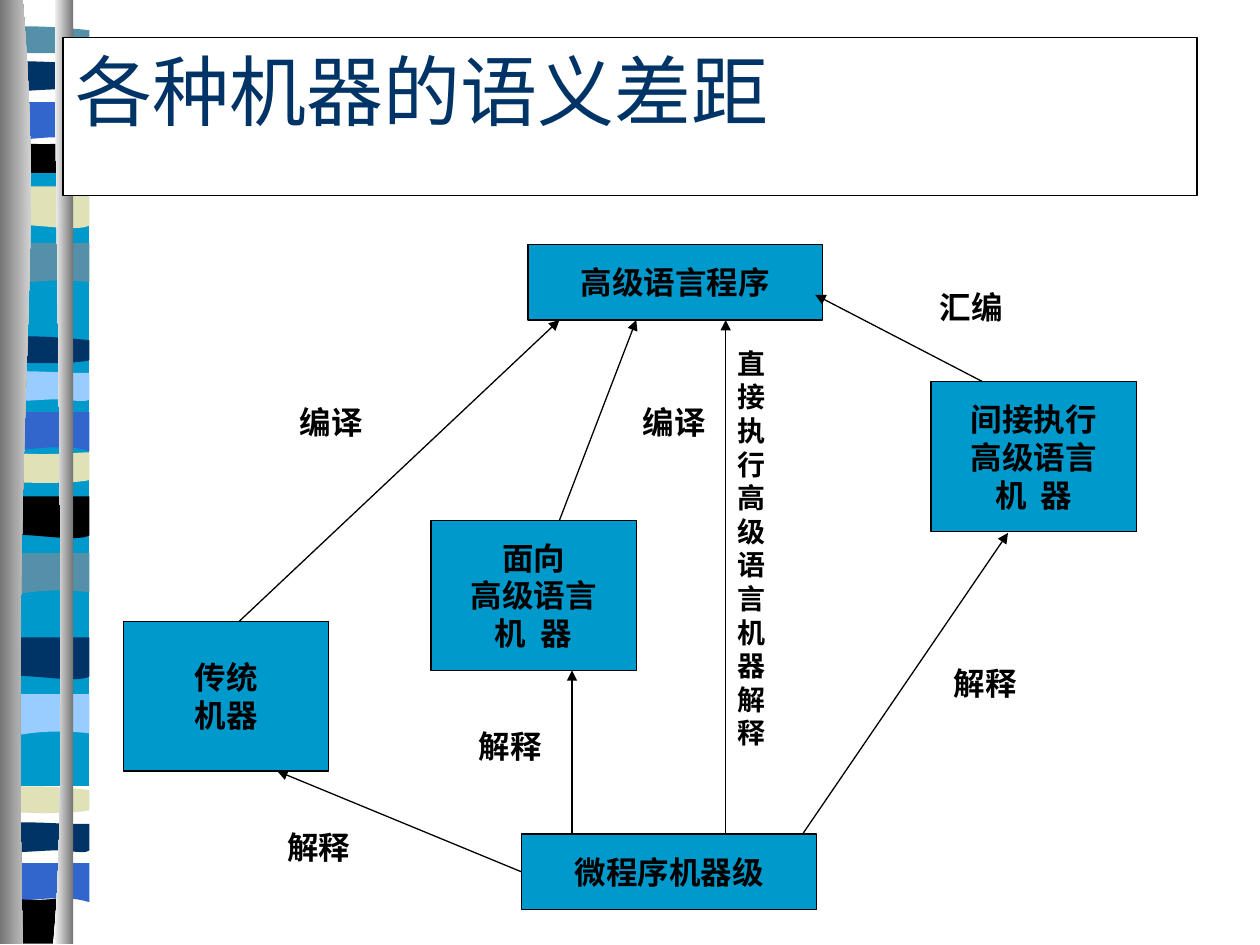
from lxml import etree
from pptx import Presentation
from pptx.dml.color import RGBColor
from pptx.enum.shapes import MSO_CONNECTOR, MSO_SHAPE
from pptx.enum.text import MSO_ANCHOR, PP_ALIGN
from pptx.oxml.ns import qn
from pptx.util import Inches, Pt

COLORS = {
    "cyan": "0099CC", "teal": "5490A8", "sand": "E1E1B7", "blue": "3366CC",
    "navy": "003366", "sky": "99CCFF", "black": "000000", "white": "FFFFFF",
    "gray": "767676",
}
BAND_WIDTH = 0.71

# Outlines: x as a share of the band width, y in inches from the band top.
# Two numbers are a corner, six are a Bezier curve.
BANDS = {
    "wave": [(1, 0), (1, 0.31), (0.31, 0.26, 0.16, 0.37, 0, 0.31), (0, 0)],
    "ripple": [(1, 0), (1, 0.31), (0.84, 0.37, 0.31, 0.28, 0, 0.31), (0, 0)],
    "lens": [(1, 0.03), (1, 0.19), (0.84, 0.22, 0.16, 0.22, 0, 0.19), (0, 0.03),
             (0.07, 0, 0.22, 0, 0.38, 0), (0.56, 0, 0.87, 0.02, 1, 0.03)],
    "bowl": [(1, 0), (1, 0.22), (0.84, 0.25, 0.16, 0.25, 0, 0.22), (0, 0),
             (0.62, 0.03, 0.8, 0, 1, 0)],
    "arch": [(1, 0), (1, 0.31), (0.85, 0.28, 0.78, 0.28, 0.62, 0.28),
             (0.45, 0.28, 0.16, 0.31, 0, 0.31), (0, 0)],
    "flag": [(1, 0.03), (1, 0.24), (0.95, 0.27, 0.78, 0.24, 0.62, 0.24),
             (0.45, 0.24, 0.11, 0.27, 0, 0.24), (0, 0.03),
             (0.15, 0, 0.69, 0.03, 0.85, 0.03)],
}
RIBBON = [
    ("wave", 1.93, "teal"), ("ripple", 1.48, "sand"), ("lens", 0.21, "teal"),
    ("bowl", 1.13, "black"), ("arch", 0.81, "blue"), ("flag", 0.47, "navy"),
    ("wave", 4.39, "teal"), ("ripple", 3.94, "black"), ("lens", 2.67, "navy"),
    ("bowl", 3.59, "sand"), ("arch", 3.27, "blue"), ("flag", 2.93, "sky"),
    ("wave", 5.51, "sky"), ("ripple", 5.06, "navy"), ("lens", 6.24, "sand"),
    ("arch", 6.85, "blue"), ("flag", 6.51, "navy"),
]
BACKDROP = [(1, 0), (1, 5), (0, 5), (0, 0)]
FOOT = [(0.57, 7.12), (0.57, 7.49), (0.02, 7.49), (0.02, 7.12),
        (0.35, 7.17, 0.45, 7.12, 0.57, 7.12)]
WIDE_PILLAR = [(0.18, 0), (0.36, 2.16, 0.09, 2.96, 0.18, 7.49), (0, 7.49), (0, 0)]
THIN_PILLAR = [(0.44, 0), (0.42, 1.25, 0.56, 6.46, 0.42, 7.49), (0.58, 7.49), (0.58, 0)]

WIDE, TALL = (2.34, 0.6), (1.63, 1.19)
MACHINES = [
    (4.14, 6.62, WIDE, ["微程序机器级"]),
    (4.19, 1.94, WIDE, ["高级语言程序"]),
    (3.42, 4.13, TALL, ["面向", "高级语言", "机  器"]),
    (0.98, 4.93, TALL, ["传统", "机器"]),
    (7.39, 3.03, TALL, ["间接执行", "高级语言", "机  器"]),
]
ARROWS = [
    (1.9, 4.93, 4.44, 2.54), (4.44, 4.13, 5.05, 2.54), (4.14, 6.92, 2.2, 6.12),
    (4.54, 6.62, 4.54, 5.32), (5.76, 6.62, 5.76, 2.54), (6.37, 6.62, 8, 4.23),
    (7.8, 3.03, 6.47, 2.34),
]
LABELS = [
    (2.18, 6.52, "解释"), (3.7, 5.72, "解释"), (7.47, 5.22, "解释"),
    (7.36, 2.24, "汇编"), (2.28, 3.15, "编译"), (5, 3.15, "编译"),
]


def rgb(name):
    return RGBColor.from_string(COLORS[name])


def bend_curves(sp, outline):
    """Join the three line segments that stand for each curve into a Bezier."""
    lines = iter(list(sp._element.iter(qn("a:lnTo"))))
    for seg in outline[1:]:
        first = next(lines)
        if len(seg) == 6:
            first.tag = qn("a:cubicBezTo")
            for _ in range(2):
                extra = next(lines)
                first.append(extra[0])
                extra.getparent().remove(extra)


def add_outline(s, outline, color, end_color=None, top=0, width=1):
    """Draw an outline, with a left-to-right gradient if end_color is given."""
    points = [(Inches(x * width), Inches(top + y))
              for seg in outline for x, y in zip(seg[::2], seg[1::2])]
    builder = s.shapes.build_freeform(*points[0])
    builder.add_line_segments(points[1:], close=True)
    sp = builder.convert_to_shape()
    bend_curves(sp, outline)
    sp.shadow.inherit = False
    sp.line.fill.background()
    if end_color:
        sp.fill.gradient()
        sp.fill.gradient_angle = 0
        for stop, name, position in zip(sp.fill.gradient_stops, (color, end_color), (0, 1)):
            stop.color.rgb = rgb(name)
            stop.position = position
    else:
        sp.fill.solid()
        sp.fill.fore_color.rgb = rgb(color)


def add_rect(s, x, y, w, h, fill):
    sp = s.shapes.add_shape(MSO_SHAPE.RECTANGLE, Inches(x), Inches(y), Inches(w), Inches(h))
    sp.shadow.inherit = False
    sp.fill.solid()
    sp.fill.fore_color.rgb = rgb(fill)
    sp.line.color.rgb = rgb("black")
    sp.line.width = Pt(0.75)
    return sp


def set_text(sp, lines, size=18, font="Roboto", color="black", bold=True,
             align=PP_ALIGN.CENTER, anchor=MSO_ANCHOR.TOP, wrap=False):
    tf = sp.text_frame
    tf.word_wrap = wrap
    tf.vertical_anchor = anchor
    tf.text = "\n".join(lines)
    for p in tf.paragraphs:
        p.alignment = align
        p.font.size = Pt(size)
        p.font.name = font
        p.font.bold = bold
        p.font.color.rgb = rgb(color)


def add_label(s, x, y, w, h, lines, size=18):
    set_text(s.shapes.add_textbox(Inches(x), Inches(y), Inches(w), Inches(h)), lines, size)


def add_arrow(s, x1, y1, x2, y2):
    line = s.shapes.add_connector(MSO_CONNECTOR.STRAIGHT, Inches(x1), Inches(y1),
                                  Inches(x2), Inches(y2))
    line.line.color.rgb = rgb("black")
    line.line.width = Pt(0.75)
    etree.SubElement(line.line._get_or_add_ln(), qn("a:tailEnd"), type="triangle")
    etree.SubElement(line._element.spPr, qn("a:effectLst"))


def add_ribbon(s):
    """Draw the coloured strip and its two pillars along the left edge."""
    add_outline(s, BACKDROP, "cyan", top=1.24, width=BAND_WIDTH)
    for band, top, color in RIBBON:
        add_outline(s, BANDS[band], color, top=top, width=BAND_WIDTH)
    add_outline(s, FOOT, "black")
    add_outline(s, WIDE_PILLAR, "gray", "white")
    add_outline(s, THIN_PILLAR, "white", "gray")


def main():
    prs = Presentation()
    prs.slide_width, prs.slide_height = Inches(10), Inches(7.5)
    s = prs.slides.add_slide(prs.slide_layouts[6])
    add_ribbon(s)
    set_text(add_rect(s, 0.5, 0.3, 9, 1.25, "white"), ["各种机器的语义差距"], 44,
             "Times New Roman", "navy", False, PP_ALIGN.LEFT, wrap=True)
    for x, y, size, lines in MACHINES:
        set_text(add_rect(s, x, y, *size, "cyan"), lines, anchor=MSO_ANCHOR.MIDDLE)
    for ends in ARROWS:
        add_arrow(s, *ends)
    for x, y, text in LABELS:
        add_label(s, x, y, 0.7, 0.4, [text])
    add_label(s, 5.75, 2.7, 0.42, 3.31, "直接执行高级语言机器解释", 16)
    prs.save("out.pptx")


if __name__ == "__main__":
    main()
